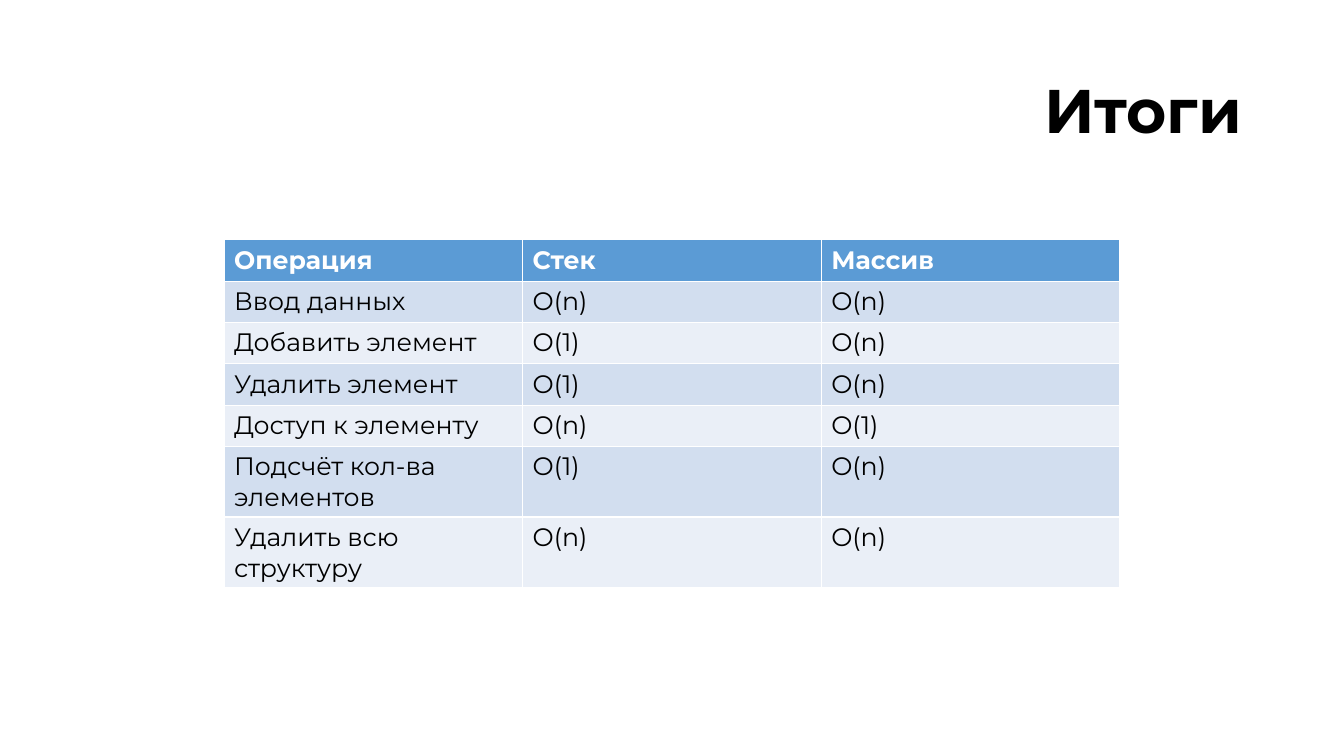
from pptx import Presentation, util as u
from pptx.dml.color import RGBColor
from pptx.enum import text

COLORS = {
    "black": "000000",
    "white": "FFFFFF",
    "header": "5B9BD5",
    "odd row": "D2DEEF",
    "even row": "EAEFF7",
}
OPERATIONS = [
    ("Операция", "Стек", "Массив"),
    ("Ввод данных", "O(n)", "O(n)"),
    ("Добавить элемент", "O(1)", "O(n)"),
    ("Удалить элемент", "O(1)", "O(n)"),
    ("Доступ к элементу", "O(n)", "O(1)"),
    ("Подсчёт кол-ва элементов", "O(1)", "O(n)"),
    ("Удалить всю структуру", "O(n)", "O(n)"),
]


def write(frame, words, size=18, color="black", bold=False,
          align=text.PP_ALIGN.LEFT, spacing=1.0):
    paragraph = frame.paragraphs[0]
    paragraph.alignment = align
    paragraph.line_spacing = spacing
    run = paragraph.add_run()
    run.text = words
    run.font.name = "Montserrat"
    run.font.size = u.Pt(size)
    run.font.bold = bold
    run.font.color.rgb = RGBColor.from_string(COLORS[color])


prs = Presentation()
prs.slide_width, prs.slide_height = u.Inches(13.333), u.Inches(7.5)
slide = prs.slides.add_slide(prs.slide_layouts[6])

# Heading
heading = slide.shapes.add_textbox(
    u.Inches(0.92), u.Inches(0.4), u.Inches(11.5), u.Inches(1.45)).text_frame
heading.word_wrap = True
heading.vertical_anchor = text.MSO_ANCHOR.MIDDLE
write(heading, "Итоги", size=44, bold=True,
      align=text.PP_ALIGN.RIGHT, spacing=0.9)

# Comparison table: the middle two thirds of the slide's width.
# The default table style draws the white rules.
row_height = u.Inches(0.41)
comparison = slide.shapes.add_table(
    len(OPERATIONS), len(OPERATIONS[0]),
    prs.slide_width // 6, u.Inches(2.38),
    prs.slide_width * 2 // 3, row_height * len(OPERATIONS)).table

for row, values in enumerate(OPERATIONS):
    is_header = row == 0
    fill = "header" if is_header else "odd row" if row % 2 else "even row"
    for column, value in enumerate(values):
        cell = comparison.cell(row, column)
        cell.fill.solid()
        cell.fill.fore_color.rgb = RGBColor.from_string(COLORS[fill])
        write(cell.text_frame, value, bold=is_header,
              color="white" if is_header else "black")

prs.save("out.pptx")
